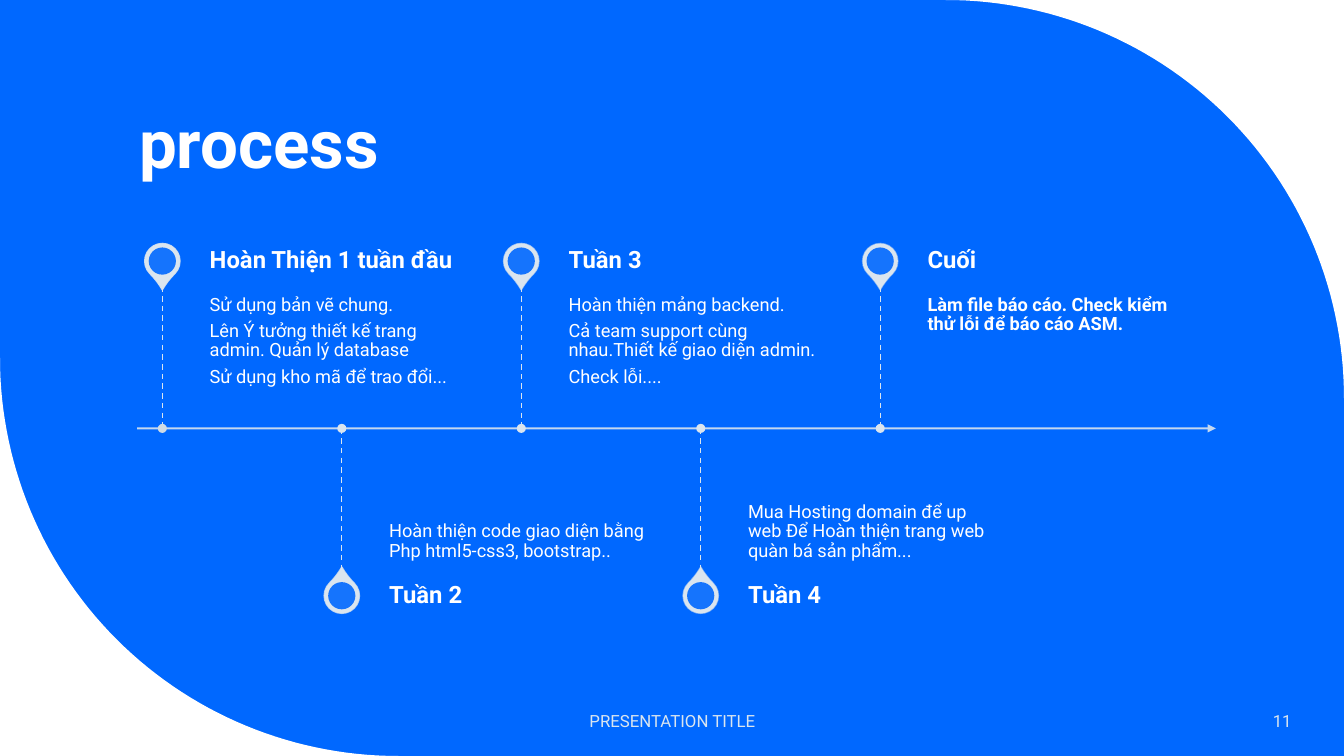
import math
from dataclasses import dataclass

import pptx
import pptx.util
import pptx.dml.color
import pptx.enum.dml
import pptx.enum.shapes
import pptx.enum.text
import pptx.oxml
import pptx.oxml.ns

# Content
TITLE = "process"
FOOTER = "PRESENTATION TITLE"
PAGE_NUMBER = "11"
# heading, paragraphs, bold body; steps alternate above and below the axis
STEPS = [
    ("Hoàn Thiện 1 tuần đầu",
     ["Sử dụng bản vẽ chung.",
      "Lên Ý tưởng thiết kế trang admin. Quản lý database",
      "Sử dụng kho mã để trao đổi..."], False),
    ("Tuần 2",
     ["Hoàn thiện code giao diện bằng Php html5-css3, bootstrap.."], False),
    ("Tuần 3",
     ["Hoàn thiện mảng backend.",
      "Cả team support cùng nhau.Thiết kế giao diện admin.",
      "Check lỗi...."], False),
    ("Tuần 4",
     ["Mua Hosting domain để up web Để Hoàn thiện trang web quàn bá sản phẩm..."], False),
    ("Cuối",
     ["Làm file báo cáo. Check kiểm thử lỗi để báo cáo ASM."], True),
]


@dataclass(frozen=True)
class Theme:
    font: str = "Roboto"
    blue: str = "0068FF"
    white: str = "FFFFFF"
    pale: str = "DAE5EF"
    first_dot: str = "D0DBE4"
    title: int = 48
    heading: int = 17
    body: int = 13
    footer: int = 12
    paragraph_gap: float = 4.6


THEME = Theme()

# Layout in inches
WIDTH, HEIGHT = 13.33, 7.5
CORNER = 3.95
AXIS_Y, AXIS_LEFT, AXIS_RIGHT = 4.25, 1.36, 12.06
FIRST_X, STEP_X = 1.61, 1.78
STALK, BODY_HEIGHT = 1.41, 1.41
PIN_OFFSET, PIN_SIZE, HOLE_SIZE, DOT_SIZE = 1.66, 0.35, 0.27, 0.09
TEXT_OFFSET, TEXT_WIDTH, HEADING_HEIGHT = 0.47, 2.54, 0.5

Inches = pptx.util.Inches
Points = pptx.util.Pt
Anchor = pptx.enum.text.MSO_ANCHOR
Align = pptx.enum.text.PP_ALIGN
Preset = pptx.enum.shapes.MSO_SHAPE
qn = pptx.oxml.ns.qn


def rgb(value):
    return pptx.dml.color.RGBColor.from_string(value)


def append_xml(parent, tag, **attributes):
    child = parent.makeelement(qn(tag), attributes)
    parent.append(child)
    return child


def set_opacity(holder, percent):
    for color in holder.iter(qn("a:srgbClr")):
        append_xml(color, "a:alpha", val=str(percent * 1000))


def write(box, paragraphs, size, color=THEME.white, bold=False, align=Align.LEFT,
          anchor=Anchor.TOP, insets=(0.1, 0.05, 0.1, 0.05), spacing=None, after=None):
    frame = box.text_frame
    frame.word_wrap = True
    frame.auto_size = pptx.enum.text.MSO_AUTO_SIZE.NONE
    frame.vertical_anchor = anchor
    (frame.margin_left, frame.margin_top,
     frame.margin_right, frame.margin_bottom) = map(Inches, insets)
    for index, text in enumerate(paragraphs):
        para = frame.paragraphs[0] if index == 0 else frame.add_paragraph()
        para.alignment = align
        para.line_spacing = spacing
        para.space_before = Points(0)
        para.space_after = None if after is None else Points(after)
        span = para.add_run()
        span.text = text
        span.font.name = THEME.font
        span.font.size = Points(size)
        span.font.bold = bold
        span.font.color.rgb = rgb(color)


def add_text(page, left, top, width, height, paragraphs, size, **style):
    box = page.shapes.add_textbox(*map(Inches, (left, top, width, height)))
    write(box, paragraphs, size, **style)


def add_centred(page, preset, x, y, size, fill):
    shape = page.shapes.add_shape(
        preset, *map(Inches, (x - size / 2, y - size / 2, size, size)))
    shape.shadow.inherit = False
    shape.fill.solid()
    shape.fill.fore_color.rgb = rgb(fill)
    shape.line.fill.background()
    return shape


def add_line(page, start, end, width):
    line = page.shapes.add_connector(
        pptx.enum.shapes.MSO_CONNECTOR.STRAIGHT, *map(Inches, start + end))
    line.line.color.rgb = rgb(THEME.pale)
    line.line.width = Points(width)
    append_xml(line.element.spPr, "a:effectLst")
    return line


def add_corner(page, tip, centre, start_degrees):
    """White page corner outside a quarter circle."""
    angles = [math.radians(start_degrees + 90 * i / 60) for i in range(61)]
    arc = [(centre[0] + CORNER * math.cos(a), centre[1] + CORNER * math.sin(a))
           for a in angles]
    builder = page.shapes.build_freeform(*map(Inches, tip))
    builder.add_line_segments([tuple(map(Inches, point)) for point in arc], close=True)
    corner = builder.convert_to_shape()
    corner.shadow.inherit = False
    corner.fill.solid()
    corner.fill.fore_color.rgb = rgb(THEME.white)
    corner.line.fill.background()


def add_step(page, index, heading, paragraphs, bold):
    above = index % 2 == 0
    side = -1 if above else 1
    x = FIRST_X + index * STEP_X
    stalk_end = AXIS_Y + side * STALK
    pin_y = AXIS_Y + side * PIN_OFFSET
    text_left = x + TEXT_OFFSET

    # Pin
    pin = add_centred(page, Preset.TEAR, x, pin_y, PIN_SIZE, THEME.pale)
    pin.adjustments[0] = 1.15
    pin.rotation = 135 if above else 315
    pin.line.color.rgb = rgb(THEME.pale)
    pin.line.width = Points(1)
    set_opacity(pin.element.spPr.find(qn("a:ln")), 90 - 10 * index)
    hole = add_centred(page, Preset.OVAL, x, pin_y, HOLE_SIZE, THEME.blue)
    set_opacity(hole.element.spPr, 90)

    # Text
    add_text(page, text_left, min(AXIS_Y, stalk_end), TEXT_WIDTH, BODY_HEIGHT,
             paragraphs, THEME.body, bold=bold, spacing=0.9, after=THEME.paragraph_gap,
             anchor=Anchor.TOP if above else Anchor.BOTTOM,
             insets=(0, 0.09, 0.09, 0.14) if above else (0, 0.14, 0, 0.09))
    add_text(page, text_left, stalk_end - (HEADING_HEIGHT if above else 0),
             TEXT_WIDTH, HEADING_HEIGHT, [heading], THEME.heading, bold=True,
             spacing=0.9, anchor=Anchor.MIDDLE, insets=(0, 0, 0.12, 0))

    # Stalk and dot on the axis
    stalk = add_line(page, (x, min(AXIS_Y, stalk_end)), (x, max(AXIS_Y, stalk_end)), 1)
    stalk.line.dash_style = pptx.enum.dml.MSO_LINE.DASH
    add_centred(page, Preset.OVAL, x, AXIS_Y, DOT_SIZE,
                THEME.pale if index else THEME.first_dot)


def main():
    deck = pptx.Presentation()
    deck.slide_width, deck.slide_height = Inches(WIDTH), Inches(HEIGHT)
    page = deck.slides.add_slide(deck.slide_layouts[5])
    page.background.fill.solid()
    page.background.fill.fore_color.rgb = rgb(THEME.blue)

    # Rounded page corners
    add_corner(page, (WIDTH, 0), (WIDTH - CORNER, CORNER), 270)
    add_corner(page, (0, HEIGHT), (CORNER, HEIGHT - CORNER), 90)

    # Title
    title = page.shapes.title
    title.left, title.top, title.width, title.height = map(
        Inches, (1.28, 0.42, 10.69, 1.45))
    write(title, [TITLE], THEME.title, bold=True, anchor=Anchor.BOTTOM, spacing=0.9)

    # Timeline
    axis = add_line(page, (AXIS_LEFT, AXIS_Y), (AXIS_RIGHT, AXIS_Y), 1.5)
    outline = axis.element.spPr.find(qn("a:ln"))
    set_opacity(outline, 90)
    append_xml(outline, "a:tailEnd", type="triangle")
    for index, step in enumerate(STEPS):
        add_step(page, index, *step)

    # Footer
    for left, width, text, align in ((4.42, 4.5, FOOTER, Align.CENTER),
                                     (11.1, 1.81, PAGE_NUMBER, Align.RIGHT)):
        add_text(page, left, 6.95, width, 0.4, [text], THEME.footer,
                 color=THEME.pale, align=align, anchor=Anchor.MIDDLE)

    deck.save("out.pptx")


if __name__ == "__main__":
    main()
